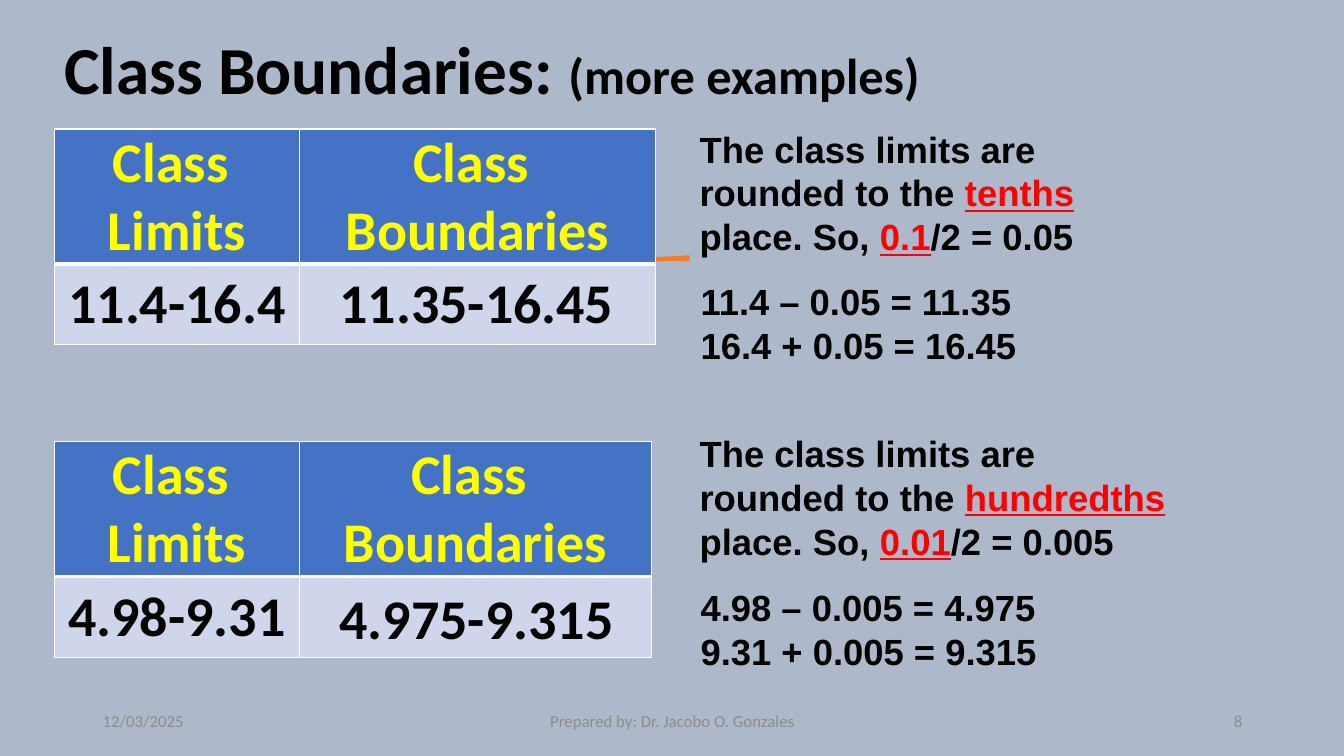
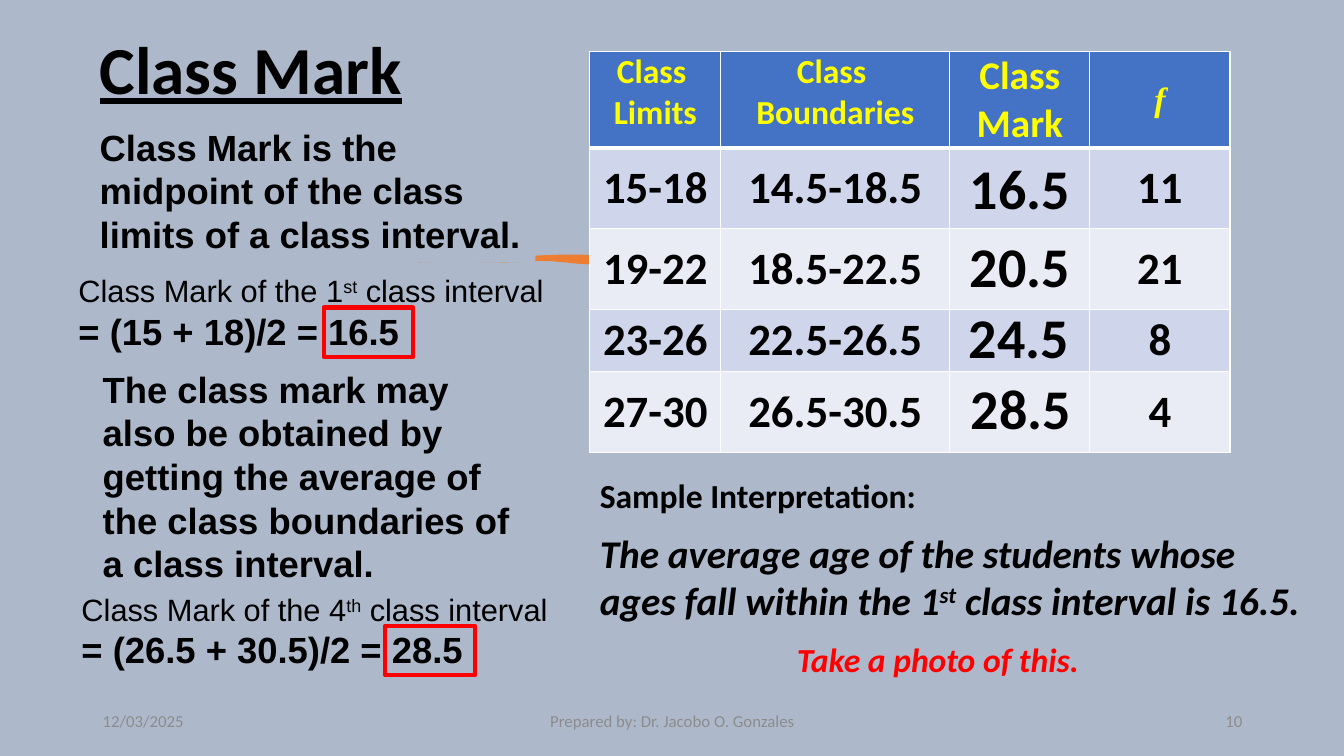
from lxml import etree
from pptx import Presentation
from pptx.dml.color import RGBColor
from pptx.enum import shapes, text
from pptx.oxml import ns
from pptx.util import Inches, Pt

COLORS = {
    "page": "ADB9CA", "ink": "000000", "accent": "FF0000", "swoosh": "ED7D31",
    "header": "4472C4", "header_text": "FFFF00", "border": "FFFFFF",
    "band_dark": "CFD5EA", "band_light": "E9EBF5", "footer": "8C8C8C",
}
ALIGN = {"left": text.PP_ALIGN.LEFT, "center": text.PP_ALIGN.CENTER, "right": text.PP_ALIGN.RIGHT}
MIDDLE, BOTTOM = text.MSO_ANCHOR.MIDDLE, text.MSO_ANCHOR.BOTTOM

TITLE = dict(font="Calibri", size=48, bold=True)
NOTE = dict(font="Arial", size=26, bold=True)
LEAD = dict(font="Arial", size=22)
VALUE = dict(font="Calibri", size=40, bold=True)
REMARK = dict(font="Calibri", size=24, bold=True)
FOOTER = dict(font="Calibri", size=12, color="footer")
KEY = dict(color="accent", underline=True)
RAISED = dict(raised=True)

# Each curve: first control point, second control point, end point
SWOOSH_START = (4.16, 2.56)
SWOOSH_CURVES = [
    ((4.28, 2.54), (4.54, 2.56), (4.73, 2.56)), ((4.92, 2.56), (5.09, 2.58), (5.29, 2.56)),
    ((5.49, 2.55), (5.74, 2.54), (5.96, 2.56)), ((6.17, 2.58), (6.53, 2.58), (6.77, 2.56)),
    ((7.02, 2.54), (7.14, 2.55), (7.39, 2.56)), ((7.63, 2.58), (7.74, 2.59), (8, 2.56)),
    ((8.26, 2.53), (8.67, 2.58), (9.16, 2.56)), ((9.17, 2.57), (9.16, 2.57), (9.16, 2.58)),
    ((8.95, 2.57), (8.65, 2.55), (8.4, 2.58)), ((8.15, 2.62), (8.01, 2.57), (7.79, 2.58)),
    ((7.56, 2.6), (7.47, 2.58), (7.17, 2.58)), ((6.87, 2.58), (6.67, 2.55), (6.41, 2.58)),
    ((6.14, 2.62), (5.85, 2.61), (5.59, 2.58)), ((5.34, 2.55), (5.23, 2.58), (5.03, 2.58)),
    ((4.83, 2.58), (4.38, 2.57), (4.16, 2.58)),
]


def rgb(name):
    return RGBColor.from_string(COLORS[name])


def curve_points(start, curves, steps=6):
    """Flatten a chain of cubic curves into points."""
    points = []
    for first, second, end in curves:
        for step in range(1, steps + 1):
            t = step / steps
            weights = ((1 - t) ** 3, 3 * t * (1 - t) ** 2, 3 * t * t * (1 - t), t ** 3)
            corners = (start, first, second, end)
            points.append(tuple(sum(w * c[axis] for w, c in zip(weights, corners)) for axis in (0, 1)))
        start = end
    return points


class Lesson:
    """The deck's style and the page being filled."""

    def __init__(self):
        self.deck = Presentation()
        self.deck.slide_width, self.deck.slide_height = Inches(13.33), Inches(7.5)
        self.page = None

    def new_page(self, number, title, left, width):
        self.page = self.deck.slides.add_slide(self.deck.slide_layouts[6])
        self.page.background.fill.solid()
        self.page.background.fill.fore_color.rgb = rgb("page")
        box = self.text(left, -0.01, width, 1.14, [title], TITLE, anchor=BOTTOM)
        box.text_frame.paragraphs[0].line_spacing = 0.9
        self.swoosh()
        for at, span, words, align in ((0.92, 3, "12/03/2025", "left"),
                                       (4.42, 4.5, "Prepared by: Dr. Jacobo O. Gonzales", "center"),
                                       (9.42, 3, str(number), "right")):
            self.text(at, 6.95, span, 0.4, [words], FOOTER, align, MIDDLE)

    def swoosh(self):
        builder = self.page.shapes.build_freeform(*map(Inches, SWOOSH_START))
        points = curve_points(SWOOSH_START, SWOOSH_CURVES)
        builder.add_line_segments([(Inches(x), Inches(y)) for x, y in points])
        shape = builder.convert_to_shape()
        shape.shadow.inherit = False
        shape.fill.solid()
        shape.fill.fore_color.rgb = rgb("swoosh")
        shape.line.color.rgb = rgb("swoosh")
        shape.line.width = Pt(3.25)

    def add_paras(self, frame, paras, style, align="left"):
        """Fill a frame; a paragraph is a string or a list of strings and (string, changes)."""
        for index, parts in enumerate(paras):
            para = frame.add_paragraph() if index else frame.paragraphs[0]
            para.alignment = ALIGN[align]
            for part in [parts] if isinstance(parts, str) else parts:
                words, changes = (part, {}) if isinstance(part, str) else part
                look = {**style, **changes}
                span = para.add_run()
                span.text = words
                span.font.name = look["font"]
                span.font.size = Pt(look["size"])
                span.font.bold = look.get("bold", False)
                span.font.italic = look.get("italic", False)
                span.font.underline = look.get("underline", False)
                span.font.color.rgb = rgb(look.get("color", "ink"))
                if look.get("raised"):
                    span._r.get_or_add_rPr().set("baseline", "30000")

    def text(self, left, top, width, height, paras, style, align="left", anchor=None, fill=None):
        box = self.page.shapes.add_textbox(*map(Inches, (left, top, width, height)))
        box.text_frame.word_wrap = True
        if anchor is not None:
            box.text_frame.vertical_anchor = anchor
        if fill:
            box.fill.solid()
            box.fill.fore_color.rgb = rgb(fill)
        self.add_paras(box.text_frame, paras, style, align)
        return box

    def frame(self, left, top):
        """Outline an answer in red."""
        shape = self.page.shapes.add_shape(
            shapes.MSO_SHAPE.RECTANGLE, *map(Inches, (left, top, 0.89, 0.49)))
        shape.shadow.inherit = False
        shape.fill.background()
        shape.line.color.rgb = rgb("accent")
        shape.line.width = Pt(3)

    def table(self, left, top, columns, heights, header, rows, size):
        """Draw a banded table; a header cell is (paragraphs, style changes, anchor)."""
        table = self.page.shapes.add_table(
            len(heights), len(columns), *map(Inches, (left, top, sum(columns), sum(heights)))).table
        for column, width in zip(table.columns, columns):
            column.width = Inches(width)
        for row, height in zip(table.rows, heights):
            row.height = Inches(height)
        for index, (paras, changes, anchor) in enumerate(header):
            look = {**REMARK, "color": "header_text", **changes}
            self.cell(table.cell(0, index), paras, look, "header", anchor, below=3)
        for number, row in enumerate(rows, 1):
            band = "band_dark" if number % 2 else "band_light"
            for index, words in enumerate(row):
                self.cell(table.cell(number, index), [words] if words else [],
                          {**VALUE, "size": size}, band, MIDDLE, above=3 if number == 1 else 1)

    def cell(self, cell, paras, style, fill, anchor, above=1, below=1):
        cell.margin_left = cell.margin_right = Inches(0.07)
        cell.margin_top = cell.margin_bottom = 0
        cell.vertical_anchor = anchor
        cell.fill.solid()
        cell.fill.fore_color.rgb = rgb(fill)
        self.add_paras(cell.text_frame, paras, style, "center")
        properties = cell._tc.get_or_add_tcPr()
        for place, (side, points) in enumerate(
                (("lnL", 1), ("lnR", 1), ("lnT", above), ("lnB", below))):
            line = etree.Element(ns.qn("a:" + side), w=str(int(Pt(points))))
            solid = etree.SubElement(line, ns.qn("a:solidFill"))
            etree.SubElement(solid, ns.qn("a:srgbClr"), val=COLORS["border"])
            properties.insert(place, line)


def boundaries_page(lesson):
    lesson.new_page(8, ["Class Boundaries: ", ("(more examples)", dict(size=36))], 0.54, 11.95)
    big = dict(size=40)
    header = [(["Class ", "Limits"], big, None), (["Class ", "Boundaries"], big, None)]
    examples = [
        (1.28, 3.53, "11.4-16.4", 2.61, "11.35-16.45", 1.21, 4.01, "tenths", "0.1", "0.05",
         2.72, ["11.4 – 0.05 = 11.35", "16.4 + 0.05 = 16.45"], "page"),
        (4.38, 3.49, "4.98-9.31", 5.74, "4.975-9.315", 4.23, 5, "hundredths", "0.01", "0.005",
         5.76, ["4.98 – 0.005 = 4.975", "9.31 + 0.005 = 9.315"], None),
    ]
    for (top, wide, limits, bounds_top, bounds, note_top, note_width, place, unit, half,
         sums_top, sums, fill) in examples:
        lesson.table(0.54, top, [2.43, wide], [1.34, 0.8], header, [[limits, ""]], 40)
        lesson.text(3.27, bounds_top, 3.57, 0.77, [bounds], VALUE)
        rule = ["The class limits are rounded to the ", (place, KEY), " place. So, ",
                (unit, KEY), f"/2 = {half}"]
        lesson.text(6.84, note_top, note_width, 1.41, [rule], NOTE, fill=fill)
        lesson.text(6.85, sums_top, 3.6, 0.98, sums, NOTE)


def mark_page(lesson):
    lesson.new_page(10, [("Class Mark", dict(underline=True))], 0.89, 4.03)
    header = [
        (["Class ", "Limits"], {}, None),
        (["Class ", "Boundaries"], {}, None),
        (["Class Mark"], dict(size=28), MIDDLE),
        (["f"], dict(font="Times New Roman", italic=True), MIDDLE),
    ]
    rows = [
        ["15-18", "14.5-18.5", "", "11"],
        ["19-22", "18.5-22.5", "", "21"],
        ["23-26", "22.5-26.5", "", "8"],
        ["27-30", "26.5-30.5", "", "4"],
    ]
    lesson.table(5.85, 0.51, [1.3, 2.27, 1.39, 1.39], [0.96, 0.8, 0.8, 0.62, 0.8], header, rows, 32)
    for left, top, mark in ((9.52, 1.47, "16.5"), (9.52, 2.25, "20.5"),
                            (9.51, 2.95, "24.5"), (9.53, 3.66, "28.5")):
        lesson.text(left, top, 1.23, 0.77, [mark], VALUE)

    lesson.text(0.89, 1.19, 4.42, 1.41,
                ["Class Mark is the midpoint of the class limits of a class interval."], NOTE, fill="page")
    lesson.text(0.92, 3.59, 4.42, 2.29,
                ["The class mark may also be obtained by getting the average of "
                 "the class boundaries of a class interval."], NOTE)
    for left, top, order, suffix, working, frame_left in (
            (0.68, 2.65, "1", "st", "= (15 + 18)/2 = 16.5", 3.21),
            (0.71, 5.81, "4", "th", "= (26.5 + 30.5)/2 = 28.5", 3.82)):
        lead = [f"Class Mark of the {order}", (suffix, RAISED), " class interval"]
        lesson.text(left, top, 4.88, 0.91, [lead, [(working, NOTE)]], LEAD)
        lesson.frame(frame_left, top + 0.4)

    lesson.text(5.85, 4.66, 3.89, 0.5, ["Sample Interpretation:"], REMARK)
    lesson.text(5.85, 5.2, 7.21, 1.04,
                [["The average age of the students whose ages fall within the 1", ("st", RAISED),
                  " class interval is 16.5."]], {**REMARK, "size": 28, "italic": True})
    lesson.text(5.85, 6.29, 6.98, 0.5, ["Take a photo of this. "],
                {**REMARK, "color": "accent", "italic": True}, "center")


def main():
    lesson = Lesson()
    boundaries_page(lesson)
    mark_page(lesson)
    lesson.deck.save("out.pptx")


if __name__ == "__main__":
    main()
